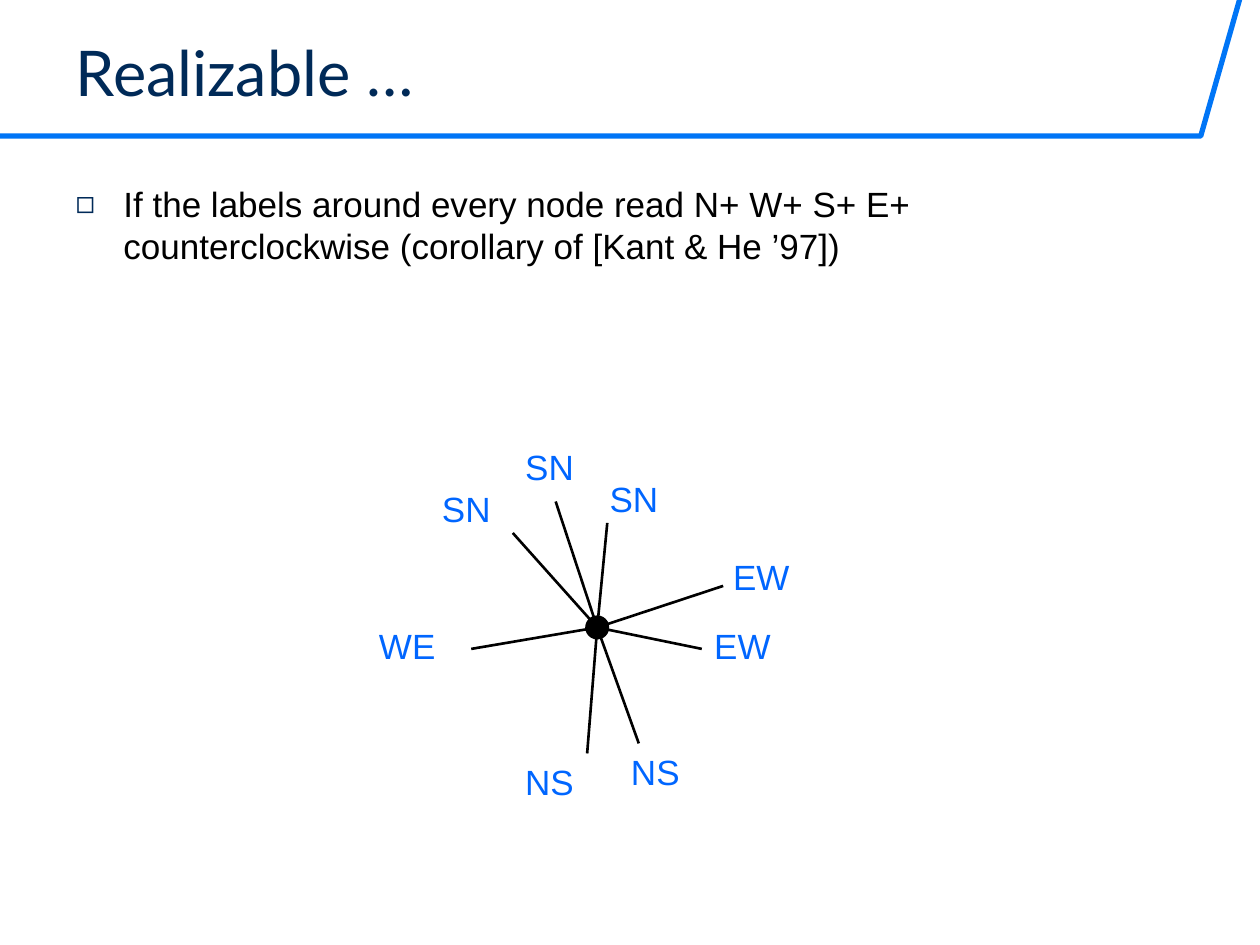
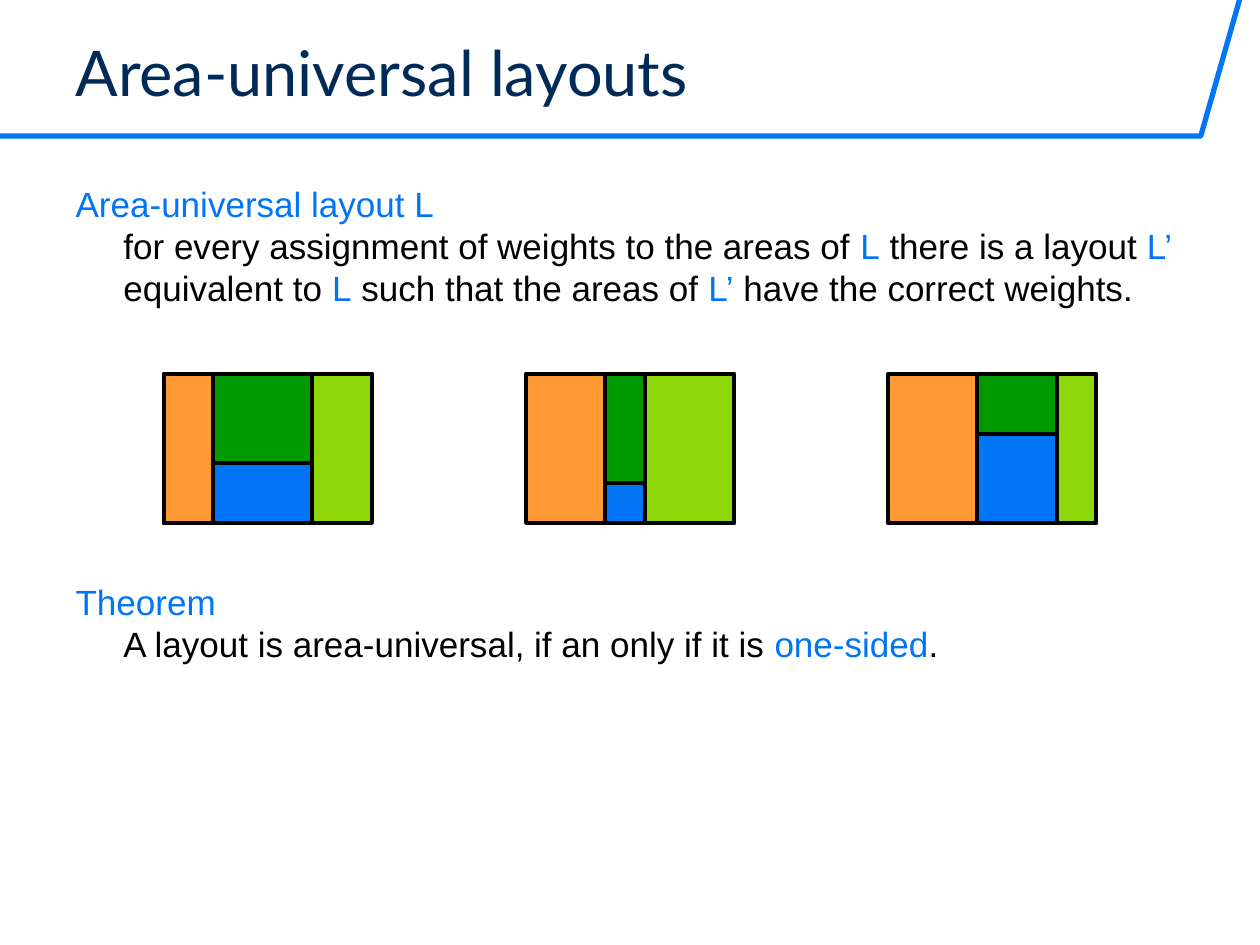
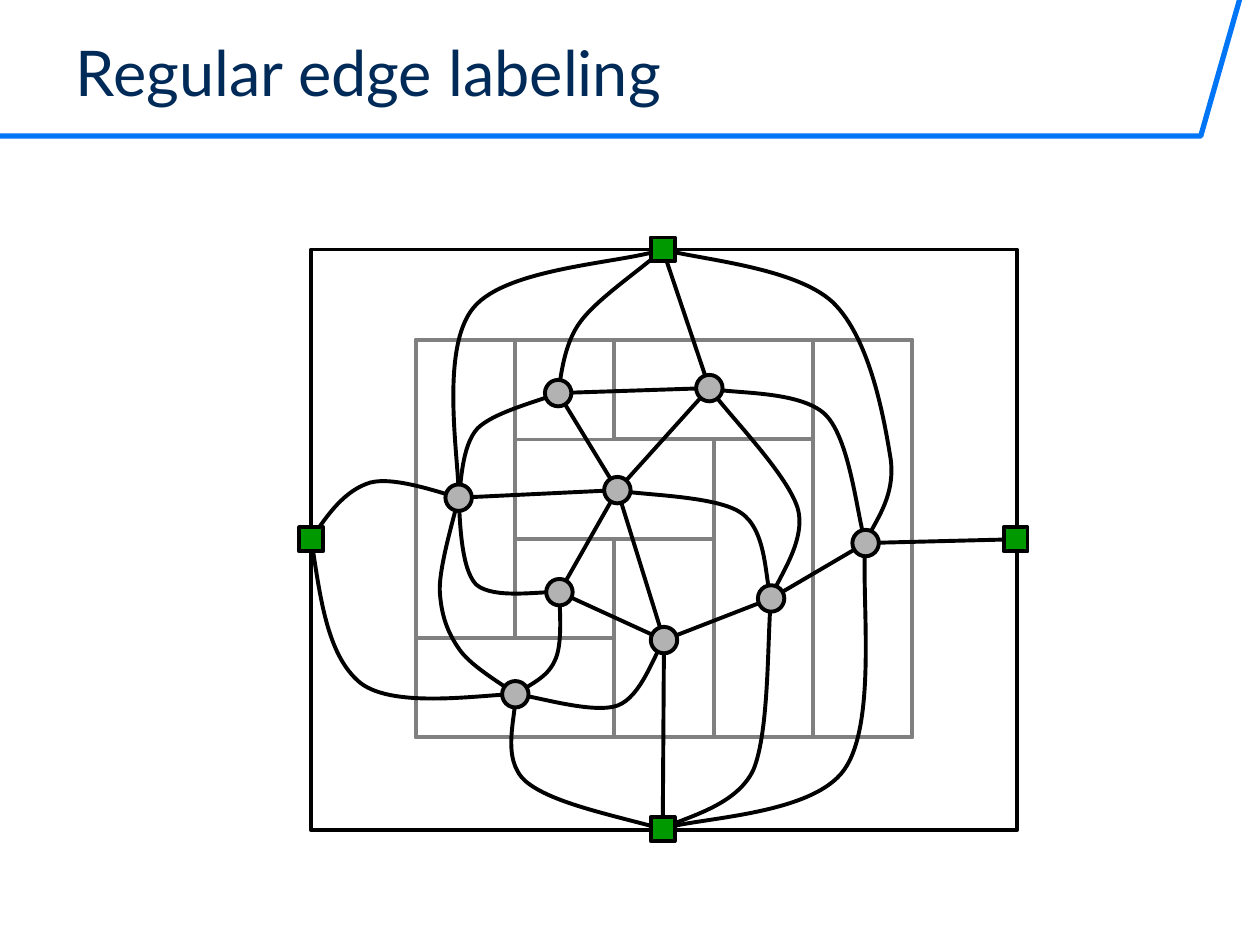
from itertools import accumulate

from lxml import etree
from pptx import Presentation
from pptx.dml.color import RGBColor
from pptx.enum.shapes import MSO_CONNECTOR, MSO_SHAPE
from pptx.enum.text import MSO_ANCHOR, MSO_AUTO_SIZE, PP_ALIGN
from pptx.oxml.ns import qn
from pptx.util import Inches, Pt

RECTANGLE, OVAL = MSO_SHAPE.RECTANGLE, MSO_SHAPE.OVAL
STRAIGHT = MSO_CONNECTOR.STRAIGHT
LEFT, TOP, BOTTOM = PP_ALIGN.LEFT, MSO_ANCHOR.TOP, MSO_ANCHOR.BOTTOM
NO_FIT = MSO_AUTO_SIZE.NONE

NAVY = RGBColor(0x00, 0x2A, 0x58)
BLUE = RGBColor(0x00, 0x75, 0xF6)
LABEL_BLUE = RGBColor(0x00, 0x66, 0xFF)
BLACK = RGBColor(0x00, 0x00, 0x00)
GRAY = RGBColor(0x80, 0x80, 0x80)
SILVER = RGBColor(0xB2, 0xB2, 0xB2)
ORANGE = RGBColor(0xFF, 0x99, 0x33)
LIME = RGBColor(0x8E, 0xD8, 0x0A)
GREEN = RGBColor(0x00, 0x99, 0x00)

TITLE_FONT = {"name": "Lato", "size": Pt(36), "bold": False}
BODY_FONT = {"name": "Arial", "size": Pt(20)}
TITLE_FRAME = {"vertical_anchor": BOTTOM, "auto_size": NO_FIT, "word_wrap": True}
BODY_FRAME = {"vertical_anchor": TOP, "auto_size": NO_FIT, "word_wrap": True}
LABEL_FRAME = {"vertical_anchor": TOP, "auto_size": NO_FIT, "word_wrap": False}
LINE_PITCH = Pt(24)
HANGING = Inches(0.38)
THIN, MEDIUM, THICK = 1.5, 2.25, 3

HUB = (4.74, 4.98)
# label, tip of the ray, corner of the label
RAYS = [
    ("SN", (4.07, 4.23), (3.41, 3.82)),
    ("SN", (4.41, 3.98), (4.07, 3.49)),
    ("SN", (4.82, 4.15), (4.74, 3.74)),
    ("EW", (5.74, 4.65), (5.72, 4.36)),
    ("EW", (5.57, 5.15), (5.57, 4.91)),
    ("NS", (5.07, 5.9), (4.91, 5.91)),
    ("NS", (4.66, 5.98), (4.07, 5.99)),
    ("WE", (3.74, 5.15), (2.91, 4.91)),
]

LAYOUT_CELL = 1.18 / 15
LAYOUT_ROWS = 15
LAYOUT_LEFT, LAYOUT_TOP, LAYOUT_STEP = 1.3, 2.97, 2.875
# widths of the three columns, rows of the green area
LAYOUTS = [((5, 10, 6), 9), ((8, 4, 9), 11), ((9, 8, 4), 6)]

ROOM_CELL = 3.94 / 5
ROOM_LEFT, ROOM_TOP = 3.3, 2.7
# column, row, columns spanned, rows spanned
ROOMS = [(0, 0, 5, 4), (0, 3, 2, 1), (0, 0, 1, 3), (1, 2, 1, 1), (2, 2, 1, 2),
         (3, 1, 1, 3), (4, 0, 1, 4), (1, 1, 2, 1), (2, 0, 2, 1)]

OUTER_FRAME = (2.47, 1.98, 5.6, 4.61)
OUTER_NODES = {"north": (5.26, 1.98), "east": (8.06, 4.28),
               "south": (5.26, 6.58), "west": (2.47, 4.28)}
ROOM_NODES = {
    "left": (3.64, 3.95), "small": (4.43, 3.12), "top": (5.63, 3.08),
    "right": (6.87, 4.31), "tall": (6.12, 4.75), "low": (5.27, 5.08),
    "middle": (4.9, 3.89), "inner": (4.44, 4.7), "bottom": (4.09, 5.51),
}
NODES = {**OUTER_NODES, **ROOM_NODES}
STRAIGHT_EDGES = [
    ("south", "low"), ("small", "middle"), ("right", "east"), ("inner", "low"),
    ("inner", "middle"), ("middle", "low"), ("small", "top"), ("middle", "top"),
    ("low", "tall"), ("tall", "right"), ("north", "top"), ("left", "middle"),
]
# two ends and the Bezier points between them
CURVED_EDGES = [
    ("south", "right", [(5.5, 6.49), (6.44, 6.48), (6.7, 6.11), (6.97, 5.73), (6.83, 4.7)]),
    ("south", "tall", [(5.41, 6.49), (5.84, 6.41), (5.98, 6.11), (6.11, 5.8), (6.09, 5.04)]),
    ("south", "bottom", [(4.82, 6.46), (4.37, 6.37), (4.17, 6.2), (3.97, 6.02), (4.1, 5.68)]),
    ("bottom", "left", [(4.02, 5.45), (3.75, 5.3), (3.65, 5.16), (3.55, 5.02), (3.5, 4.88),
                        (3.49, 4.68), (3.49, 4.48), (3.6, 4.12)]),
    ("bottom", "inner", [(4.21, 5.43), (4.34, 5.38), (4.4, 5.25), (4.47, 5.12), (4.44, 4.83)]),
    ("tall", "top", [(6.15, 4.62), (6.41, 4.3), (6.33, 4.03), (6.24, 3.75), (5.77, 3.28)]),
    ("bottom", "low", [(4.23, 5.52), (4.7, 5.67), (4.9, 5.6), (5.09, 5.53), (5.19, 5.2)]),
    ("middle", "tall", [(5.05, 3.93), (5.68, 3.93), (5.88, 4.07), (6.09, 4.21), (6.07, 4.6)]),
    ("top", "right", [(5.78, 3.13), (6.34, 3.09), (6.55, 3.29), (6.75, 3.49), (6.8, 4.09)]),
    ("right", "north", [(6.91, 4.18), (7.11, 3.97), (7.07, 3.65), (7.02, 3.34), (6.91, 2.69),
                        (6.61, 2.4), (6.31, 2.12), (5.55, 2.06)]),
    ("small", "north", [(4.45, 3.02), (4.47, 2.73), (4.61, 2.55), (4.75, 2.36), (5.13, 2.11)]),
    ("left", "small", [(3.66, 3.86), (3.66, 3.54), (3.79, 3.4), (3.92, 3.27), (4.29, 3.18)]),
    ("left", "inner", [(3.65, 4.07), (3.65, 4.51), (3.78, 4.64), (3.92, 4.76), (4.3, 4.69)]),
    ("left", "north", [(3.65, 3.69), (3.48, 2.77), (3.76, 2.44), (4.03, 2.12), (4.94, 2.09)]),
    ("west", "left", [(2.6, 4.08), (2.74, 3.89), (2.94, 3.83), (3.13, 3.78), (3.49, 3.91)]),
    ("west", "bottom", [(2.54, 4.72), (2.59, 5.2), (2.86, 5.42), (3.13, 5.63), (3.84, 5.51)]),
]


def inches(values):
    return [Inches(value) for value in values]


def apply(target, values):
    for key, value in values.items():
        setattr(target, key, value)


def place(shape, left, top, width, height):
    apply(shape, dict(zip(("left", "top", "width", "height"),
                          inches((left, top, width, height)))))


def style(shape, fill, line, weight):
    shape.shadow.inherit = False
    if fill is None:
        shape.fill.background()
    else:
        shape.fill.solid()
        shape.fill.fore_color.rgb = fill
    shape.line.color.rgb = line
    shape.line.width = Pt(weight)


def add_block(slide, kind, box, fill=None, line=BLACK, weight=MEDIUM):
    style(slide.shapes.add_shape(kind, *inches(box)), fill, line, weight)


def add_node(slide, kind, center, size, fill, weight=MEDIUM):
    x, y = center
    add_block(slide, kind, (x - size / 2, y - size / 2, size, size), fill, weight=weight)


def add_line(slide, start, end, weight=MEDIUM):
    line = slide.shapes.add_connector(STRAIGHT, *inches((*start, *end)))
    line.line.color.rgb = BLACK
    line.line.width = Pt(weight)
    etree.SubElement(line._element.spPr, qn("a:effectLst"))


def add_outline(slide, points, line=BLACK, weight=MEDIUM):
    start, *rest = [inches(point) for point in points]
    builder = slide.shapes.build_freeform(*start)
    builder.add_line_segments(rest, close=False)
    outline = builder.convert_to_shape()
    style(outline, None, line, weight)
    return outline


def add_curve(slide, points):
    """Draw an open outline and turn each three segments into one Bezier curve."""
    outline = add_outline(slide, points)
    segments = list(outline._element.iter(qn("a:lnTo")))
    for first in range(0, len(segments), 3):
        trio = segments[first:first + 3]
        curve = etree.Element(qn("a:cubicBezTo"))
        trio[0].addprevious(curve)
        for segment in trio:
            curve.append(segment[0])
            segment.getparent().remove(segment)


def add_run(paragraph, text, font, color):
    run = paragraph.add_run()
    run.text = text
    apply(run.font, font)
    run.font.color.rgb = color


def add_slide(deck, layout, title):
    slide = deck.slides.add_slide(deck.slide_layouts.get_by_name(layout))
    heading = slide.shapes.title
    place(heading, 0.5, 0.21, 9.28, 0.71)
    apply(heading.text_frame, TITLE_FRAME)
    paragraph = heading.text_frame.paragraphs[0]
    paragraph.alignment = LEFT
    add_run(paragraph, title, TITLE_FONT, NAVY)
    return slide


def add_band(deck, slide):
    """Draw the title band and move it to the master, behind the placeholders."""
    band = add_outline(slide, [(0, 1.08), (9.53, 1.08), (9.84, -0.01)], BLUE, THICK)
    deck.slide_master.shapes._spTree.insert(2, band._element)


def set_bullet(paragraph, mark):
    properties = paragraph._p.get_or_add_pPr()
    properties.set("marL", str(HANGING))
    properties.set("indent", str(-HANGING))
    if mark is None:
        etree.SubElement(properties, qn("a:buNone"))
        return
    color = etree.SubElement(properties, qn("a:buClr"))
    etree.SubElement(color, qn("a:srgbClr"), val=str(NAVY))
    etree.SubElement(properties, qn("a:buSzPct"), val="90000")
    etree.SubElement(properties, qn("a:buFont"), typeface="Arial")
    etree.SubElement(properties, qn("a:buChar"), char=mark)


def fill_body(slide, paragraphs, mark=None):
    """Each paragraph is (space before, heading or None, [(text, colour), ...])."""
    body = slide.placeholders[1]
    place(body, 0.5, 1.4, 8.92, 5.5)
    frame = body.text_frame
    apply(frame, BODY_FRAME)
    for index, (space, heading, parts) in enumerate(paragraphs):
        paragraph = frame.add_paragraph() if index else frame.paragraphs[0]
        set_bullet(paragraph, mark)
        apply(paragraph, {"space_before": Pt(space), "line_spacing": LINE_PITCH})
        if heading:
            add_run(paragraph, heading, BODY_FONT, BLUE)
            paragraph.add_line_break()
        for text, color in parts:
            add_run(paragraph, text, BODY_FONT, color)


def add_label(slide, text, corner):
    frame = slide.shapes.add_textbox(*inches((*corner, 0.7, 0.5))).text_frame
    apply(frame, LABEL_FRAME)
    paragraph = frame.paragraphs[0]
    apply(paragraph, {"alignment": LEFT, "line_spacing": LINE_PITCH})
    add_run(paragraph, text, BODY_FONT, LABEL_BLUE)


def add_layout(slide, left, widths, split):
    """Draw two full columns around a middle column split into two areas."""
    first, second, total = accumulate(widths)
    areas = [
        (0, 0, total, LAYOUT_ROWS, None),
        (0, 0, first, LAYOUT_ROWS, ORANGE),
        (second, 0, widths[2], LAYOUT_ROWS, LIME),
        (first, 0, widths[1], split, GREEN),
        (first, split, widths[1], LAYOUT_ROWS - split, BLUE),
    ]
    for *cells, color in areas:
        add_block(slide, RECTANGLE, grid_box(left, LAYOUT_TOP, LAYOUT_CELL, cells), color)


def grid_box(left, top, cell, cells):
    column, row, columns, rows = cells
    return left + column * cell, top + row * cell, columns * cell, rows * cell


def build_realizable(deck):
    slide = add_slide(deck, "Title and Content", "Realizable …")
    add_band(deck, slide)
    fill_body(slide, [(0, None, [(
        "If the labels around every node read N+ W+ S+ E+ "
        "counterclockwise (corollary of [Kant & He ’97])", BLACK)])], mark="◻")
    add_node(slide, OVAL, HUB, 0.17, BLACK, THIN)
    for label, tip, corner in RAYS:
        add_line(slide, HUB, tip, THIN)
        add_label(slide, label, corner)


def build_area_universal(deck):
    slide = add_slide(deck, "Title and Content", "Area-universal layouts")
    fill_body(slide, [
        (0, "Area-universal layout L", [
            ("for every assignment of weights to the areas of ", BLACK), ("L", BLUE),
            (" there is a layout ", BLACK), ("L’", BLUE),
            (" equivalent to", BLACK), (" L", BLUE),
            (" such that the areas of ", BLACK), ("L’", BLUE),
            (" have the correct weights.", BLACK)]),
        (155, "Theorem", [
            ("A layout is area-universal, if an only if it is ", BLACK),
            ("one-sided", BLUE), (".", BLACK)]),
    ])
    for index, (widths, split) in enumerate(LAYOUTS):
        add_layout(slide, LAYOUT_LEFT + index * LAYOUT_STEP, widths, split)


def build_edge_labeling(deck):
    slide = add_slide(deck, "Title Only", "Regular edge labeling")
    for cells in ROOMS:
        add_block(slide, RECTANGLE, grid_box(ROOM_LEFT, ROOM_TOP, ROOM_CELL, cells), line=GRAY)
    for start, end in STRAIGHT_EDGES:
        add_line(slide, NODES[start], NODES[end])
    for start, end, controls in CURVED_EDGES:
        add_curve(slide, [NODES[start], *controls, NODES[end]])
    add_block(slide, RECTANGLE, OUTER_FRAME)
    for center in ROOM_NODES.values():
        add_node(slide, OVAL, center, 0.21, SILVER)
    for center in OUTER_NODES.values():
        add_node(slide, RECTANGLE, center, 0.19, GREEN)


def main():
    deck = Presentation()
    deck.slide_width, deck.slide_height = Inches(10), Inches(7.5)
    build_realizable(deck)
    build_area_universal(deck)
    build_edge_labeling(deck)
    deck.save("out.pptx")


if __name__ == "__main__":
    main()
